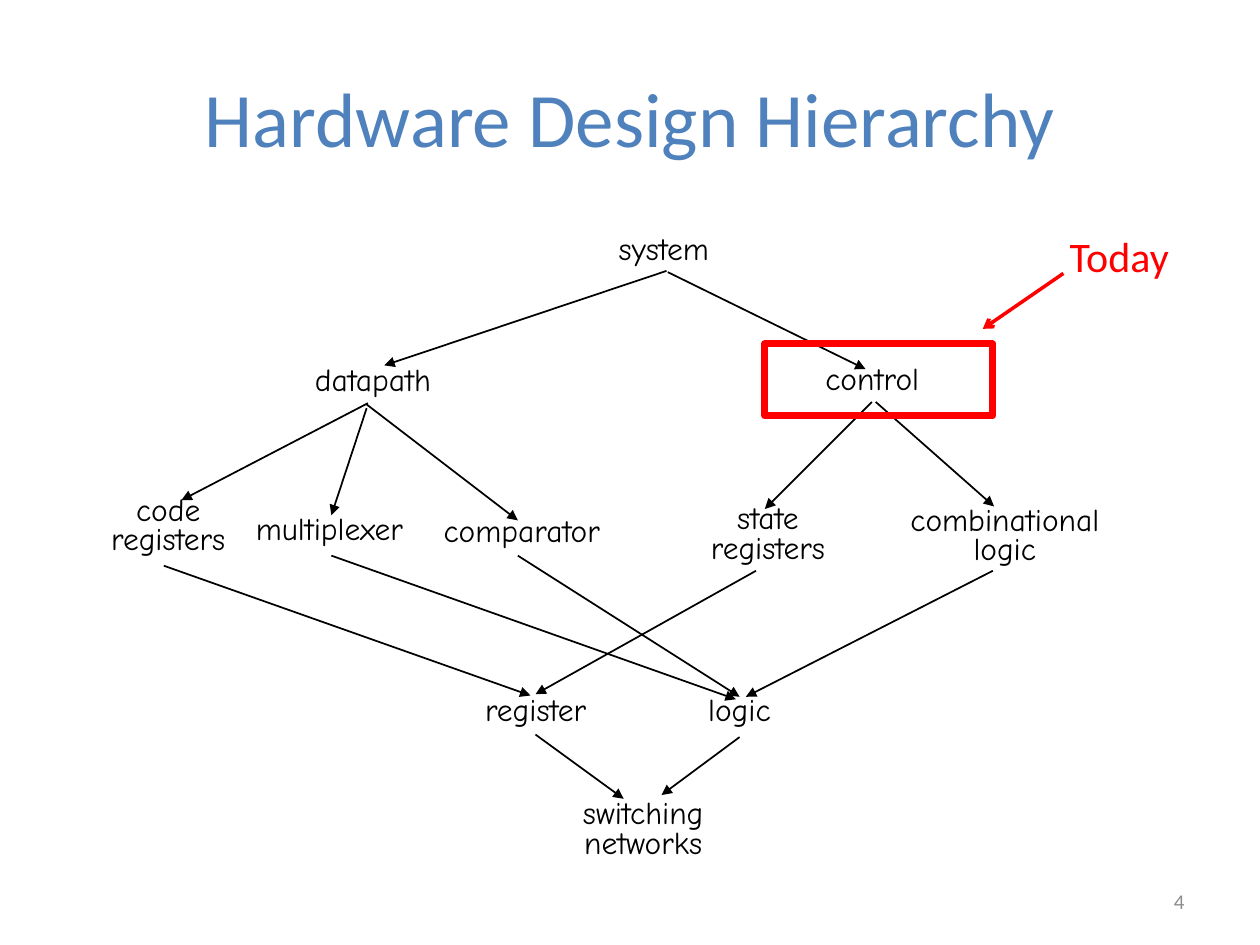
from lxml.etree import SubElement
from pptx import Presentation
from pptx.dml.color import RGBColor
from pptx.enum.shapes import MSO_CONNECTOR, MSO_SHAPE
from pptx.enum.text import MSO_ANCHOR, MSO_AUTO_SIZE, PP_ALIGN
from pptx.oxml.ns import qn
from pptx.util import Inches, Pt

COLORS = {"title": "4F81BD", "ink": "000000", "accent": "FF0000", "number": "8C8C8C"}
COLUMNS, ROWS = 100, 75
SLIDE_WIDTH, SLIDE_HEIGHT = Inches(10), Inches(7.5)

NODES = [
    ("system", (48.9, 18.5, 11.2, 3.7)),
    ("datapath", (24.8, 28.9, 13.3, 3.7)),
    ("control", (65.3, 28.8, 11.1, 3.7)),
    ("state\nregisters", (52.6, 39.9, 16.7, 6)),
    ("combinational\nlogic", (67.9, 40, 23.7, 6)),
    ("multiplexer", (20.1, 40.7, 14.9, 3.7)),
    ("comparator", (35, 40.9, 15.2, 3.7)),
    ("code\nregisters", (8.3, 39.2, 10.1, 6)),
    ("register", (38.3, 55.1, 11.6, 3.7)),
    ("logic", (56, 55.1, 9.2, 3.7)),
    ("switching\nnetworks", (40.9, 63.3, 20.3, 6)),
]

BRANCHES = [
    ((53, 21.6), (68.7, 29.3)),
    ((52.9, 21.5), (30.5, 29)),
    ((29.1, 32.4), (26.3, 40.9)),
    ((29.1, 32.1), (41.1, 41.3)),
    ((29.2, 32), (14.4, 39.7)),
    ((13, 44.9), (42.1, 55.2)),
    ((60, 45.3), (42.5, 55.1)),
    ((69.2, 31.9), (60.7, 40.4)),
    ((69.5, 31.9), (78.9, 40.2)),
    ((41.1, 44.1), (58.7, 55.3)),
    ((26.3, 44.1), (58.4, 55.5)),
    ((78.8, 45.3), (59.2, 55.3)),
    ((58.7, 58.5), (52.5, 63.1)),
    ((42.5, 58.3), (49.5, 63.4)),
]


def color(name):
    return RGBColor.from_string(COLORS[name])


def grid(*lengths):
    units = (SLIDE_WIDTH / COLUMNS, SLIDE_HEIGHT / ROWS)
    return [round(length * units[index % 2]) for index, length in enumerate(lengths)]


def write(paragraph, text, size, color_name, font="Calibri"):
    for index, line in enumerate(text.split("\n")):
        if index:
            paragraph.add_line_break()
        run = paragraph.add_run()
        run.text = line
        run.font.name = font
        run.font.size = Pt(size)
        run.font.color.rgb = color(color_name)


def add_title(slide, text):
    title = slide.shapes.title
    title.left, title.top, title.width, title.height = grid(5, 3, 90, 12.5)
    title.text_frame.vertical_anchor = MSO_ANCHOR.MIDDLE
    paragraph = title.text_frame.paragraphs[0]
    paragraph.alignment = PP_ALIGN.CENTER
    write(paragraph, text, 44, "title")


def add_node(slide, text, box):
    frame = slide.shapes.add_textbox(*grid(*box)).text_frame
    frame.word_wrap = False
    frame.margin_left = frame.margin_right = Inches(0.02)
    frame.margin_top = frame.margin_bottom = Inches(0.03)
    paragraph = frame.paragraphs[0]
    paragraph.line_spacing = Pt(17)
    paragraph.alignment = PP_ALIGN.CENTER if "\n" in text else PP_ALIGN.LEFT
    write(paragraph, text, 18, "ink", "Comic Neue")


def add_arrow(shapes, start, end, color_name="ink", width=1, head="triangle"):
    arrow = shapes.add_connector(MSO_CONNECTOR.STRAIGHT, *grid(*start, *end))
    arrow.line.color.rgb = color(color_name)
    arrow.line.width = Pt(width)
    properties = arrow._element.spPr
    SubElement(properties.find(qn("a:ln")), qn("a:tailEnd"), type=head)
    SubElement(properties, qn("a:effectLst"))


def add_highlight(slide):
    frame = slide.shapes.add_shape(MSO_SHAPE.RECTANGLE, *grid(60.7, 27.3, 18.1, 5.7))
    frame.shadow.inherit = False
    frame.fill.background()
    frame.line.color.rgb = color("accent")
    frame.line.width = Pt(4)


def add_callout(slide):
    group = slide.shapes.add_group_shape()
    frame = group.shapes.add_textbox(*grid(83.9, 17.8, 10, 5)).text_frame
    frame.word_wrap = False
    frame.auto_size = MSO_AUTO_SIZE.SHAPE_TO_FIT_TEXT
    write(frame.paragraphs[0], "Today", 24, "accent")
    add_arrow(group.shapes, (84.4, 21.7), (78, 26.1), "accent", 2, "arrow")


def add_page_number(slide, number):
    frame = slide.shapes.add_textbox(*grid(71.7, 69.5, 23.3, 4)).text_frame
    frame.word_wrap = True
    frame.vertical_anchor = MSO_ANCHOR.MIDDLE
    paragraph = frame.paragraphs[0]
    paragraph.alignment = PP_ALIGN.RIGHT
    write(paragraph, number, 12, "number")


def main():
    presentation = Presentation()
    presentation.slide_width, presentation.slide_height = SLIDE_WIDTH, SLIDE_HEIGHT
    slide = presentation.slides.add_slide(presentation.slide_layouts.get_by_name("Title Only"))
    add_title(slide, "Hardware Design Hierarchy")
    for text, box in NODES:
        add_node(slide, text, box)
    for start, end in BRANCHES:
        add_arrow(slide.shapes, start, end)
    add_highlight(slide)
    add_callout(slide)
    add_page_number(slide, "4")
    presentation.save("out.pptx")


if __name__ == "__main__":
    main()
